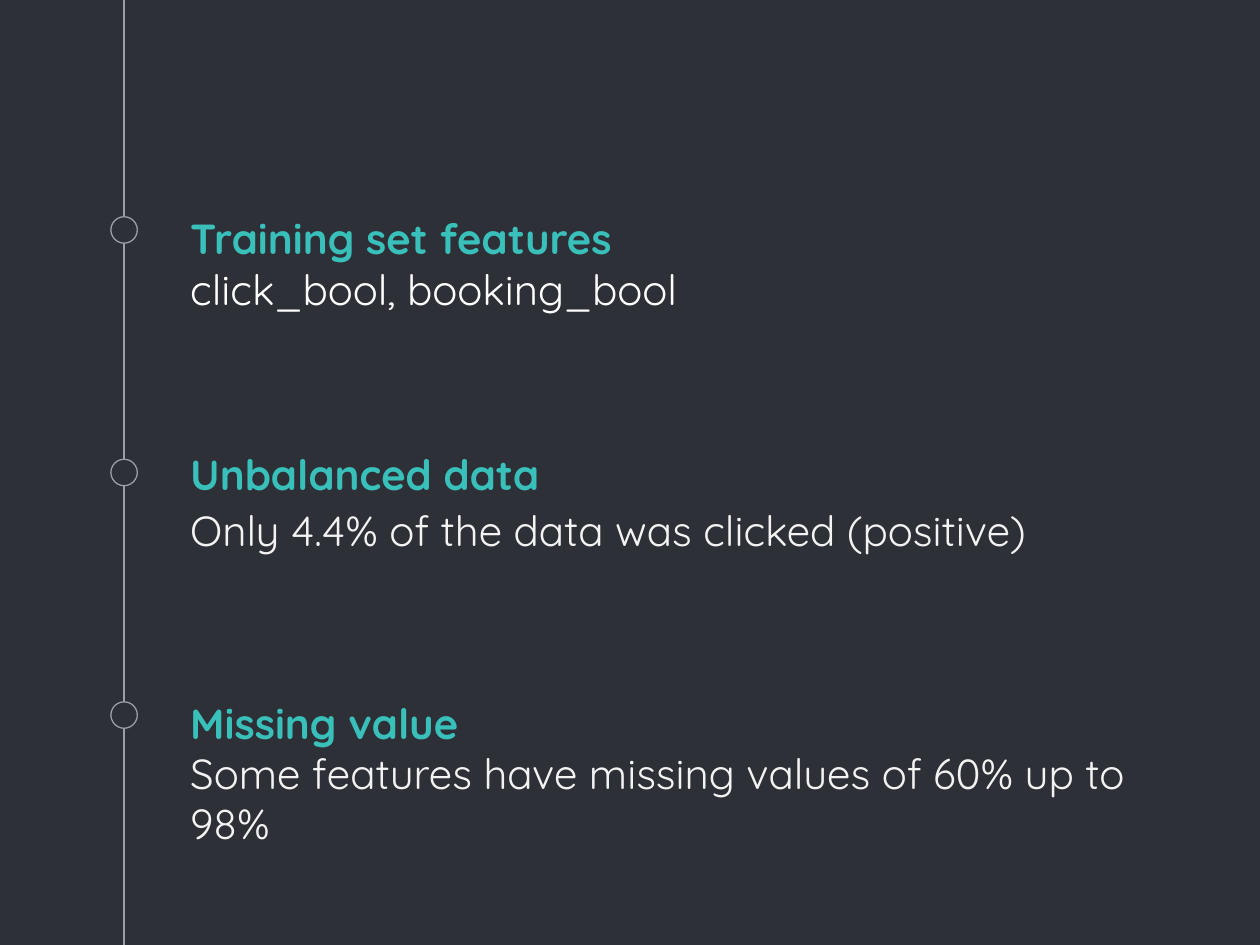
from lxml.etree import SubElement
from pptx import Presentation
from pptx.dml.color import RGBColor
from pptx.enum.shapes import MSO_CONNECTOR, MSO_SHAPE
from pptx.enum.text import MSO_ANCHOR, MSO_AUTO_SIZE, PP_ALIGN
from pptx.oxml.ns import qn
from pptx.util import Inches, Pt

COLORS = {"background": "2E3037", "rail": "999FA9", "heading": "39C0BA",
          "white": "FFFFFF", "detail": "F3F3F3"}
COMPARISON_LAYOUT = 4  # one title and four text placeholders

# Grid of 0.1 inch cells: 100 columns by 75 rows
CELL = Inches(0.1)
COLUMNS, ROWS = 100, 75
RAIL_COLUMN = 9.85
TEXT_COLUMN, TEXT_WIDTH = 14.1, 77.6
HEADING_HEIGHT, DETAIL_HEIGHT = 13.1, 6.8
BEAD_SIZE, FIRST_BEAD, BEAD_STEP = 2.1, 17.2, 19.25
DETAIL_OFFSET = 2.6


def cells(count):
    return round(count * CELL)


def color(name):
    return RGBColor.from_string(COLORS[name])


class TimelineSlide:
    font = "Quicksand"
    size = Pt(24)
    line_width = Pt(0.75)

    def __init__(self, deck):
        self.slide = deck.slides.add_slide(deck.slide_layouts[COMPARISON_LAYOUT])
        self.slots = iter(list(self.slide.placeholders))
        fill = self.slide.background.fill
        fill.solid()
        fill.fore_color.rgb = color("background")

    def rail(self, column):
        rail = self.slide.shapes.add_connector(
            MSO_CONNECTOR.STRAIGHT, cells(column), 0, cells(column), cells(ROWS))
        rail.line.color.rgb = color("rail")
        rail.line.width = self.line_width
        SubElement(rail._element.spPr, qn("a:effectLst"))

    def bead(self, row):
        bead = self.slide.shapes.add_shape(
            MSO_SHAPE.OVAL, cells(RAIL_COLUMN - BEAD_SIZE / 2), cells(row),
            cells(BEAD_SIZE), cells(BEAD_SIZE))
        bead.shadow.inherit = False
        bead.fill.solid()
        bead.fill.fore_color.rgb = color("background")
        bead.line.color.rgb = color("rail")
        bead.line.width = self.line_width

    def text(self, row, height, words, styles, anchor):
        """Fill the next placeholder; styles holds (color, bold) per line."""
        slot = next(self.slots)
        slot.left, slot.top = cells(TEXT_COLUMN), cells(row)
        slot.width, slot.height = cells(TEXT_WIDTH), cells(height)
        frame = slot.text_frame
        frame.word_wrap = True
        frame.auto_size = MSO_AUTO_SIZE.NONE
        frame.vertical_anchor = anchor
        frame.margin_left = frame.margin_right = CELL
        frame.margin_top = frame.margin_bottom = CELL
        paragraph = frame.paragraphs[0]
        paragraph.text = words
        paragraph.alignment = PP_ALIGN.LEFT
        paragraph.space_before = Pt(0)
        properties = paragraph._p.get_or_add_pPr()
        properties.set("marL", "0")
        properties.set("indent", "0")
        SubElement(properties, qn("a:buNone"))
        for run, (tone, bold) in zip(paragraph.runs, styles):
            run.font.name = self.font
            run.font.size = self.size
            run.font.bold = bold
            run.font.color.rgb = color(tone)

    def heading(self, row, words):
        self.text(row, HEADING_HEIGHT, words,
                  [("heading", True), ("white", False)], MSO_ANCHOR.BOTTOM)

    def detail(self, row, words):
        self.text(row, DETAIL_HEIGHT, words, [("detail", False)], MSO_ANCHOR.TOP)


def main():
    deck = Presentation()
    deck.slide_width, deck.slide_height = cells(COLUMNS), cells(ROWS)
    timeline = TimelineSlide(deck)

    # Rail with evenly spaced beads
    timeline.rail(RAIL_COLUMN)
    beads = [FIRST_BEAD + step * BEAD_STEP for step in range(3)]
    for row in beads:
        timeline.bead(row)

    # Findings about the data
    timeline.heading(12.8, "Training set features \vclick_bool, booking_bool")
    timeline.heading(27.5, "Unbalanced data")
    timeline.detail(beads[1] + DETAIL_OFFSET,
                    "Only 4.4% of the data was clicked (positive)")
    timeline.heading(47.3, "Missing value")
    timeline.detail(beads[2] + DETAIL_OFFSET,
                    "Some features have missing values of 60% up to 98%")

    deck.save("out.pptx")


if __name__ == "__main__":
    main()
